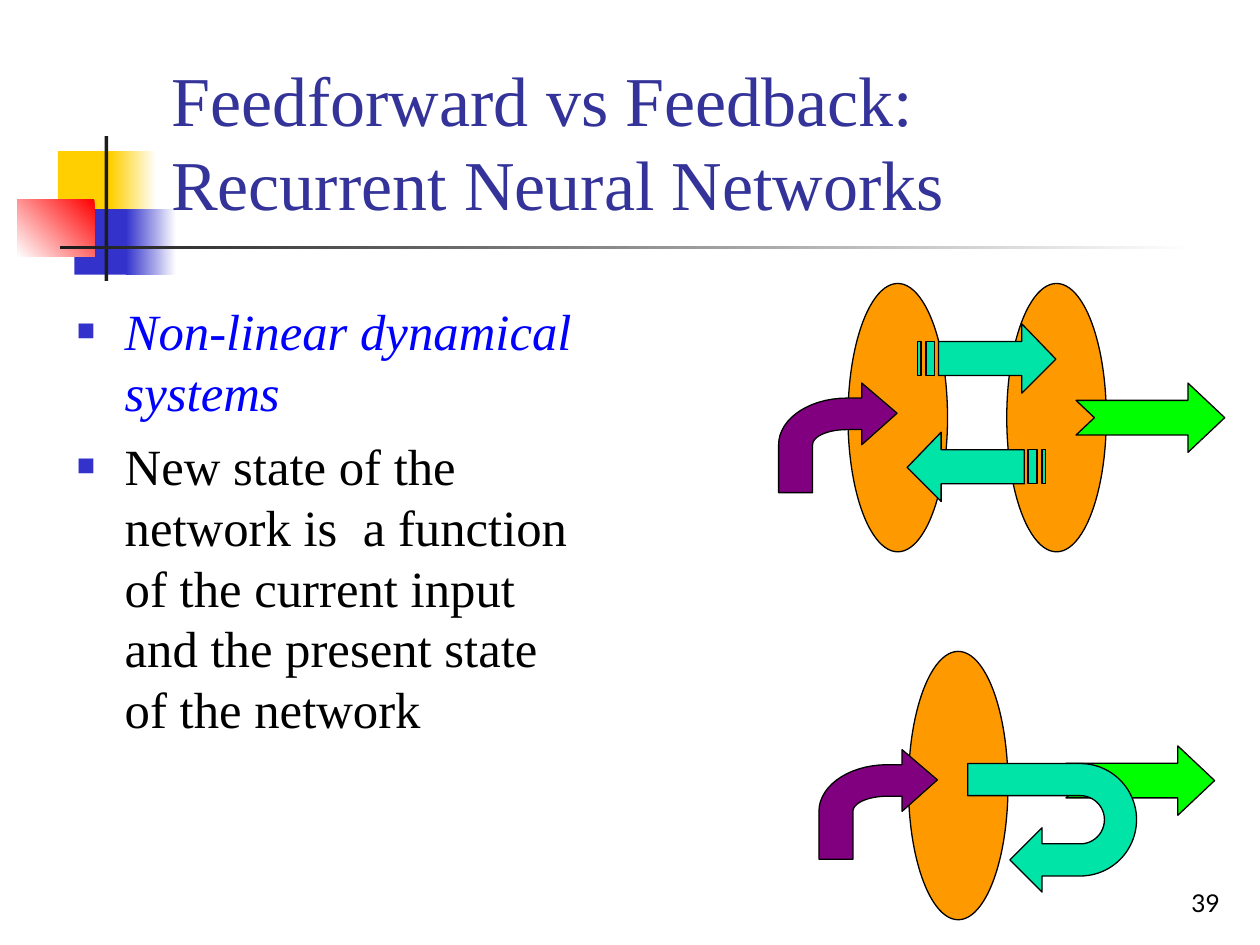
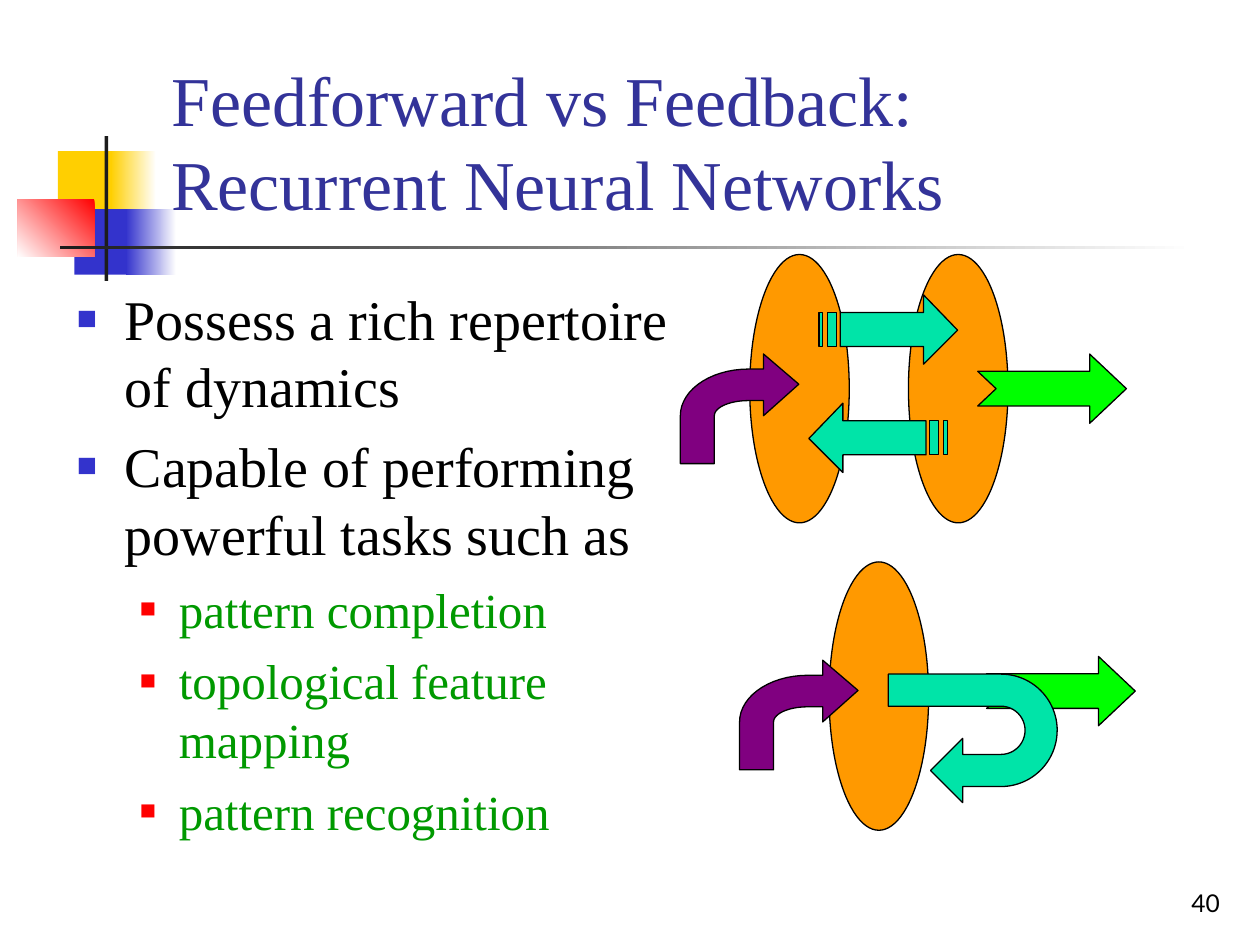
import math

import pptx
import pptx.dml.color
import pptx.enum.shapes
import pptx.enum.text
import pptx.util
from lxml import etree
from pptx.oxml.ns import qn

RGB = pptx.dml.color.RGBColor
Inches = pptx.util.Inches
Pt = pptx.util.Pt
SHAPE = pptx.enum.shapes.MSO_SHAPE
ALIGN = pptx.enum.text.PP_ALIGN
ANCHOR = pptx.enum.text.MSO_ANCHOR

WHITE = RGB(0xFF, 0xFF, 0xFF)
BLACK = RGB(0, 0, 0)
INK = RGB(0x1C, 0x1C, 0x1C)
GOLD = RGB(0xFF, 0xCF, 0x01)
INDIGO = RGB(0x33, 0x33, 0xCC)
NAVY = RGB(0x33, 0x33, 0x99)
BLUE = RGB(0, 0, 0xFF)
RED = RGB(0xFF, 0, 0)
GREEN = RGB(0, 0x99, 0)
LIME = RGB(0, 0xFF, 0)
ORANGE = RGB(0xFF, 0x99, 0)
PURPLE = RGB(0x80, 0, 0x80)
TEAL = RGB(0, 0xE4, 0xA8)
SERIF = "Times New Roman"
TITLE = "Feedforward vs Feedback:\vRecurrent Neural Networks"


def place(item, left, top, width, height):
    item.left, item.top = Inches(left), Inches(top)
    item.width, item.height = Inches(width), Inches(height)


def write(para, text, size=29, color=BLACK, font=SERIF, italic=False,
          align=ALIGN.LEFT, before=0):
    para.text = text
    para.alignment = align
    para.space_before = Pt(before)
    for run in para.runs:
        run.font.size = Pt(size)
        run.font.name = font
        run.font.italic = italic
        run.font.color.rgb = color


def bullet(para, level):
    """Give the paragraph the square mark and indent of its level."""
    left, hang, color, size = [(0.38, 0.38, INDIGO, 60),
                               (0.81, 0.31, RED, 55)][level]
    para.level = level
    props = para._p.get_or_add_pPr()
    props.set("marL", str(Inches(left)))
    props.set("indent", str(-Inches(hang)))
    tint = etree.SubElement(props, qn("a:buClr"))
    etree.SubElement(tint, qn("a:srgbClr")).set("val", str(color))
    etree.SubElement(props, qn("a:buSzPct")).set("val", str(size * 1000))
    etree.SubElement(props, qn("a:buFont")).set("typeface", SERIF)
    etree.SubElement(props, qn("a:buChar")).set("char", "■")


def paint(shape, fill):
    """Fill a diagram part and give it a thin black edge."""
    shape.shadow.inherit = False
    shape.fill.solid()
    shape.fill.fore_color.rgb = fill
    shape.line.color.rgb = BLACK
    shape.line.width = Pt(0.75)


def preset(slide, kind, left, top, width, height, fill):
    shape = slide.shapes.add_shape(kind, Inches(left), Inches(top),
                                   Inches(width), Inches(height))
    paint(shape, fill)
    return shape


def outline(slide, left, top, paths, fill):
    """Draw closed paths, given in inches from left and top."""
    paths = [[(Inches(left + x), Inches(top + y)) for x, y in path]
             for path in paths]
    pen = slide.shapes.build_freeform(*paths[0][0])
    for num, path in enumerate(paths):
        if num:
            pen.move_to(*path[0])
        pen.add_line_segments(path[1:], close=True)
    paint(pen.convert_to_shape(), fill)


def node(slide, left, top):
    preset(slide, SHAPE.OVAL, left, top, 0.79, 2.13, ORANGE)


def output(slide, left, top):
    arrow = preset(slide, SHAPE.NOTCHED_RIGHT_ARROW, left, top,
                   1.18, 0.55, LIME)
    arrow.adjustments[1] = 0.53


def input_arrow(slide, left, top):
    def arc(wide, high):
        turns = [math.radians(deg) for deg in range(0, 91, 6)]
        return [(0.54 - wide * math.cos(t), 0.49 - high * math.sin(t))
                for t in turns]

    head = [(0.66, 0.12), (0.66, 0), (0.94, 0.24), (0.66, 0.49), (0.66, 0.37)]
    path = ([(0, 0.87)] + arc(0.54, 0.37) + head + arc(0.27, 0.12)[::-1]
            + [(0.27, 0.87)])
    outline(slide, left, top, [path], PURPLE)


def striped(slide, left, top, back=False):
    """Draw a striped arrow that points right, or left if back."""
    def bar(start, end):
        return [(start, 0.14), (end, 0.14), (end, 0.41), (start, 0.41)]

    body = [(0.17, 0.14), (0.83, 0.14), (0.83, 0), (1.1, 0.28),
            (0.83, 0.55), (0.83, 0.41), (0.17, 0.41)]
    paths = [body, bar(0, 0.03), bar(0.07, 0.14)]
    if back:
        paths = [[(1.1 - x, y) for x, y in path] for path in paths]
    outline(slide, left, top, paths, TEAL)


def pair(slide, left, top):
    """Draw two layers that feed each other."""
    for step in (0.55, 1.81):
        node(slide, left + step, top)
    striped(slide, left + 1.1, top + 0.32)
    striped(slide, left + 1.02, top + 1.18, back=True)
    input_arrow(slide, left, top + 0.79)
    output(slide, left + 2.36, top + 0.79)


def loop(slide, left, top):
    """Draw one layer that feeds itself."""
    output(slide, left + 1.96, top + 0.75)
    node(slide, left + 0.71, top)
    input_arrow(slide, left, top + 0.78)
    turn = preset(slide, SHAPE.U_TURN_ARROW, left + 1.34, top + 0.73,
                  1.02, 1.34, TEAL)
    turn.rotation = 90


def decorate(layout, slide):
    """Build the corner blocks and rules, then move them to the layout."""
    parts = [
        (0.46, 1.2, 0.48, 0.52, [GOLD], 0),
        (0.88, 1.2, 0.36, 0.52, [WHITE, GOLD], 180),
        (0.59, 1.66, 0.46, 0.52, [INDIGO], 0),
        (1, 1.66, 0.4, 0.52, [WHITE, INDIGO], 180),
        (0.14, 1.58, 0.61, 0.46, [RED, WHITE], 225),
        (0.83, 1.08, 0.03, 1.15, [INK], 0),
        (0.48, 1.95, 9, 0.03, [WHITE, INK], 180),
    ]
    for *box, colors, angle in parts:
        part = preset(slide, SHAPE.RECTANGLE, *box, colors[0])
        part.line.fill.background()
        if len(colors) == 2:
            part.fill.gradient()
            part.fill.gradient_angle = angle
            for stop, color, spot in zip(part.fill.gradient_stops,
                                         colors, (0, 1)):
                stop.color.rgb = color
                stop.position = spot
        layout.shapes.element.append(part.element)


def heading(slide):
    title = slide.shapes.title
    place(title, 1.26, 0.23, 8.52, 1.6)
    frame = title.text_frame
    frame.auto_size = pptx.enum.text.MSO_AUTO_SIZE.NONE
    frame.vertical_anchor = ANCHOR.BOTTOM
    write(frame.paragraphs[0], TITLE, size=40, color=NAVY)


def points(slide, box, items):
    """Fill the body with (level, text, format) items."""
    body = slide.placeholders[1]
    place(body, *box)
    frame = body.text_frame
    frame.auto_size = pptx.enum.text.MSO_AUTO_SIZE.NONE
    for num, (level, text, form) in enumerate(items):
        para = frame.add_paragraph() if num else frame.paragraphs[0]
        bullet(para, level)
        write(para, text, before=7.3 if num else 0, **form)


def number(slide, value):
    box = slide.shapes.add_textbox(Inches(7.7), Inches(6.83),
                                   Inches(2.08), Inches(0.5))
    frame = box.text_frame
    frame.word_wrap = True
    frame.vertical_anchor = ANCHOR.BOTTOM
    write(frame.paragraphs[0], str(value), size=14, font="Lato",
          align=ALIGN.RIGHT)


def main():
    deck = pptx.Presentation()
    deck.slide_width, deck.slide_height = Inches(10), Inches(7.5)
    layout = deck.slide_layouts[1]
    big = {"size": 32}
    task = {"size": 28, "color": GREEN}
    pages = [
        (39, (0.51, 2.33, 4.16, 4.5), (6.18, 2.25), (6.5, 5.17), [
            (0, "Non-linear dynamical systems",
             {"color": BLUE, "italic": True}),
            (0, "New state of the network is  a function of the current "
                "input and the present state of the network", {}),
        ]),
        (40, (0.51, 2.21, 4.95, 5.09), (5.4, 2.02), (5.87, 4.46), [
            (0, "Possess a rich repertoire of dynamics", big),
            (0, "Capable of performing powerful tasks such as", big),
            (1, "pattern completion", task),
            (1, "topological feature mapping", task),
            (1, "pattern recognition", task),
        ]),
    ]
    for page, box, upper, lower, items in pages:
        slide = deck.slides.add_slide(layout)
        if page == pages[0][0]:
            decorate(layout, slide)
        heading(slide)
        points(slide, box, items)
        loop(slide, *lower)
        pair(slide, *upper)
        number(slide, page)
    deck.save("out.pptx")


if __name__ == "__main__":
    main()
